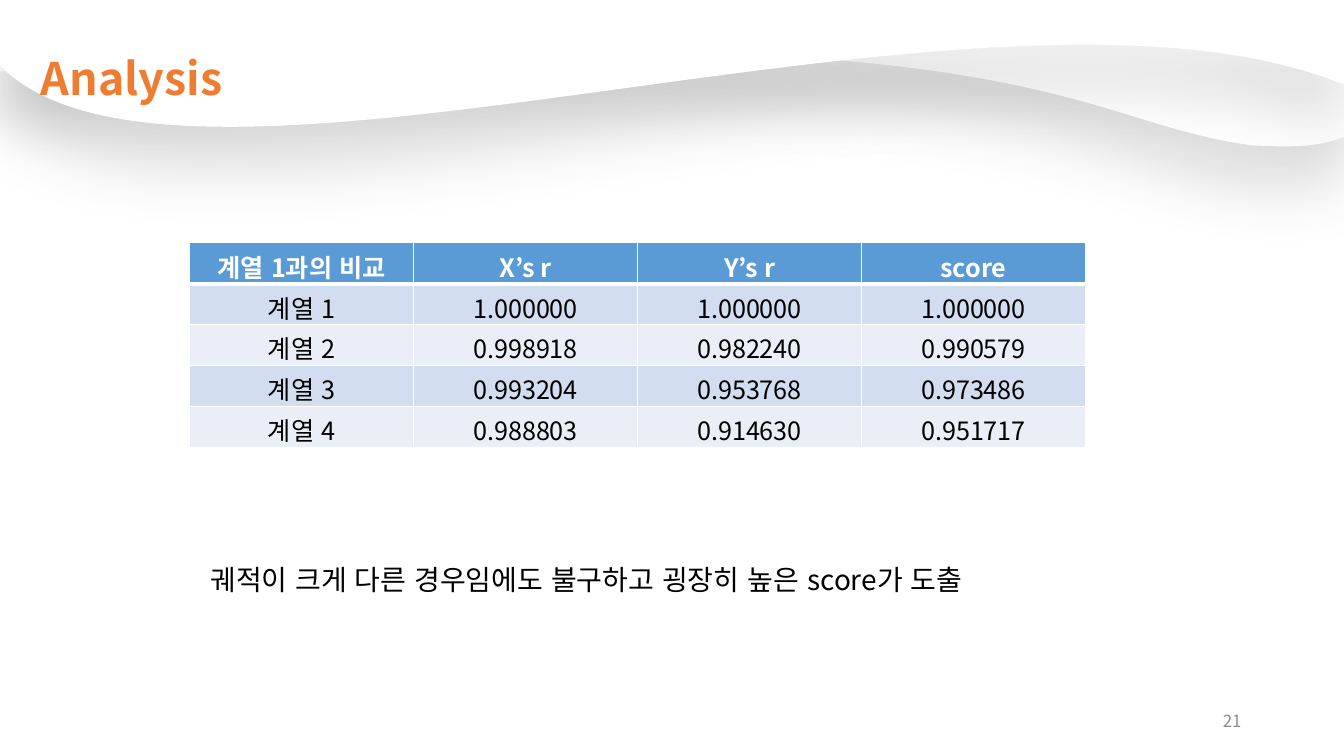
import lxml.etree
import pptx
import pptx.dml.color
import pptx.enum.lang
import pptx.enum.text
import pptx.oxml.ns
import pptx.util

Cm = pptx.util.Cm
Pt = pptx.util.Pt
ALIGN = pptx.enum.text.PP_ALIGN
ANCHOR = pptx.enum.text.MSO_ANCHOR
AUTO_SIZE = pptx.enum.text.MSO_AUTO_SIZE
KOREAN = pptx.enum.lang.MSO_LANGUAGE_ID.KOREAN

FONT = "Noto Sans CJK KR"
WHITE, BLACK, ORANGE, GRAY = "FFFFFF", "000000", "ED7D31", "8C8C8C"
HEADER_BLUE, BAND_DARK, BAND_LIGHT = "5B9BD5", "D2DEEF", "EAEFF7"

# Outlines in cm: one point makes a line, three make a cubic curve.
BACK_BOX = (0, 0, 33.91, 3.7)
BACK_WAVE = [
    [(33.91, 0)], [(0, 0)], [(0, 1.8)],
    [(26.29, 0.08), (26.67, 2.97), (31.52, 3.66)],
    [(32.72, 3.73), (33.32, 3.68), (33.91, 3.43)],
]
FRONT_BOX = (0, 0, 33.88, 3.2)
FRONT_WAVE = [
    [(33.88, 0)], [(0, 0)], [(0, 1.65)],
    [(4.55, 6.3), (24.49, -1.35), (33.55, 2.01)],
    [(33.88, 2.13)],
]

SCORES = [
    ("계열 1과의 비교", "X’s r", "Y’s r", "score"),
    ("계열 1", "1.000000", "1.000000", "1.000000"),
    ("계열 2", "0.998918", "0.982240", "0.990579"),
    ("계열 3", "0.993204", "0.953768", "0.973486"),
    ("계열 4", "0.988803", "0.914630", "0.951717"),
]


def rgb(color):
    return pptx.dml.color.RGBColor.from_string(color)


def add_element(parent, tag, **attributes):
    return lxml.etree.SubElement(parent, pptx.oxml.ns.qn(tag), attributes)


def add_run(paragraph, text, size, color, bold=False):
    run = paragraph.add_run()
    run.text = text
    run.font.size = Pt(size)
    run.font.bold = bold
    run.font.color.rgb = rgb(color)
    run.font.name = FONT
    run.font.language_id = KOREAN
    run.font._element.set("kern", "0")
    add_element(run.font._element, "a:ea", typeface=FONT)


def add_text(slide, box, text, size, color, bold=False, align=ALIGN.LEFT,
             spacing=1.0, anchor=ANCHOR.TOP, auto_size=AUTO_SIZE.SHAPE_TO_FIT_TEXT):
    frame = slide.shapes.add_textbox(*map(Cm, box)).text_frame
    frame.word_wrap = True
    frame.auto_size = auto_size
    frame.vertical_anchor = anchor
    paragraph = frame.paragraphs[0]
    paragraph.alignment = align
    paragraph.line_spacing = spacing
    add_run(paragraph, text, size, color, bold)


def curve_outline(shape, segments):
    """Replace the outline of a freeform by lines and cubic curves."""
    outline = next(shape._element.iter(pptx.oxml.ns.qn("a:path")))
    for child in list(outline):
        outline.remove(child)
    for place, points in enumerate(segments):
        tag = "a:cubicBezTo" if len(points) == 3 else "a:lnTo" if place else "a:moveTo"
        segment = add_element(outline, tag)
        for x, y in points:
            add_element(segment, "a:pt", x=str(Cm(x)), y=str(Cm(y)))
    add_element(outline, "a:close")


def add_wave(slide, box, segments):
    """Draw a white band with a soft shadow below its curved edge."""
    left, top, width, height = map(Cm, box)
    right, bottom = left + width, top + height
    builder = slide.shapes.build_freeform(left, top)
    builder.add_line_segments([(right, top), (right, bottom), (left, bottom)])
    wave = builder.convert_to_shape()
    curve_outline(wave, segments)
    wave.fill.solid()
    wave.fill.fore_color.rgb = rgb(WHITE)
    wave.line.fill.background()
    wave.shadow.inherit = False
    effects = wave._element.spPr.find(pptx.oxml.ns.qn("a:effectLst"))
    shadow = add_element(effects, "a:outerShdw", blurRad=str(Pt(43)), dist=str(Pt(31)),
                         dir="5400000", algn="t", rotWithShape="0")
    shadow_color = add_element(shadow, "a:srgbClr", val=BLACK)
    add_element(shadow_color, "a:alpha", val="13000")


def set_borders(cell, widths):
    """Set white borders; widths are left, right, top and bottom in points."""
    properties = cell._tc.get_or_add_tcPr()
    for place, (side, width) in enumerate(zip("LRTB", widths)):
        border = add_element(properties, f"a:ln{side}", w=str(Pt(width)))
        add_element(add_element(border, "a:solidFill"), "a:srgbClr", val=WHITE)
        properties.insert(place, border)


def add_score_table(slide, box):
    rows, columns = len(SCORES), len(SCORES[0])
    table = slide.shapes.add_table(rows, columns, *map(Cm, box)).table
    for r, values in enumerate(SCORES):
        header = r == 0
        fill = HEADER_BLUE if header else (BAND_LIGHT, BAND_DARK)[r % 2]
        for c, value in enumerate(values):
            cell = table.cell(r, c)
            cell.fill.solid()
            cell.fill.fore_color.rgb = rgb(fill)
            set_borders(cell, (1, 1, 3 if r == 1 else 1, 3 if header else 1))
            paragraph = cell.text_frame.paragraphs[0]
            paragraph.alignment = ALIGN.CENTER
            add_run(paragraph, value, 18, WHITE if header else BLACK, header)


def add_analysis_slide(presentation):
    slide = presentation.slides.add_slide(presentation.slide_layouts[6])
    add_wave(slide, BACK_BOX, BACK_WAVE)
    add_wave(slide, FRONT_BOX, FRONT_WAVE)
    add_text(slide, (0.78, -0.88, 20.9, 3.07), "Analysis", 32, ORANGE, bold=True, spacing=2.5)
    add_text(slide, (23.92, 17.65, 7.62, 1.02), "21", 12, GRAY, align=ALIGN.RIGHT,
             anchor=ANCHOR.MIDDLE, auto_size=AUTO_SIZE.NONE)
    add_text(slide, (5.05, 13.62, 30.1, 1.55),
             "궤적이 크게 다른 경우임에도 불구하고 굉장히 높은 score가 도출",
             20, BLACK, align=ALIGN.JUSTIFY, spacing=1.5)
    add_score_table(slide, (4.78, 6.12, 22.58, 5.15))


def main():
    presentation = pptx.Presentation()
    presentation.slide_width = Cm(33.87)
    presentation.slide_height = Cm(19.05)
    add_analysis_slide(presentation)
    presentation.save("out.pptx")


if __name__ == "__main__":
    main()
